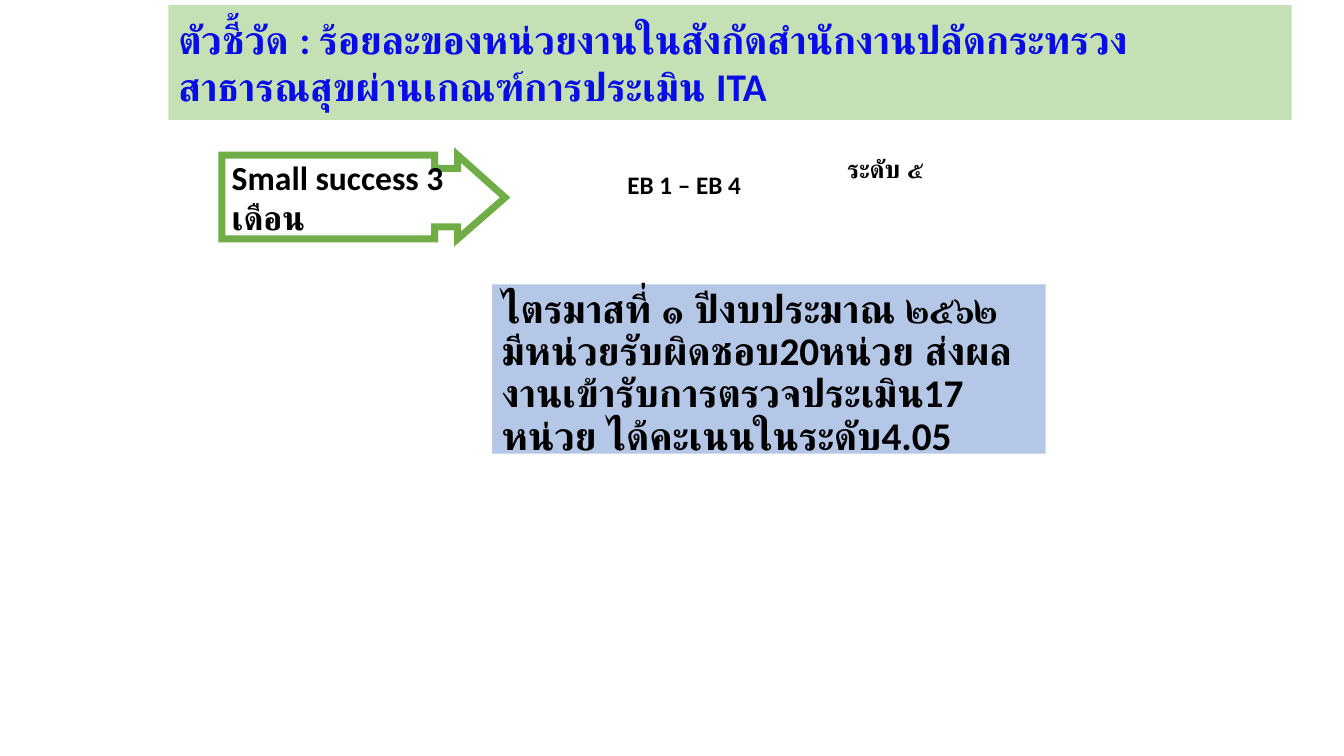
"""Build the ITA indicator slide with its three-month small success result."""
from lxml import etree
from pptx import Presentation
from pptx.dml.color import RGBColor
from pptx.enum.shapes import MSO_SHAPE
from pptx.enum.text import MSO_ANCHOR, MSO_AUTO_SIZE, PP_ALIGN
from pptx.oxml.ns import qn
from pptx.util import Inches, Pt

BLACK = RGBColor(0x00, 0x00, 0x00)
WHITE = RGBColor(0xFF, 0xFF, 0xFF)
TITLE_BLUE = RGBColor(0x07, 0x0C, 0xE9)
PALE_BLUE = RGBColor(0xB4, 0xC7, 0xE7)
PALE_GREEN = RGBColor(0xC5, 0xE0, 0xB4)
GREEN = RGBColor(0x70, 0xAD, 0x47)


def write(sp, lines, size, color=BLACK, align=PP_ALIGN.LEFT,
          anchor=MSO_ANCHOR.TOP, spacing=None):
    tf = sp.text_frame
    tf.word_wrap = True
    tf.vertical_anchor = anchor
    tf.text = "\n".join(lines)
    for p in tf.paragraphs:
        p.alignment = align
        p.line_spacing = spacing
        for r in p.runs:
            r.font.name = "Calibri"
            r.font.size = Pt(size)
            r.font.bold = True
            r.font.color.rgb = color


def add_panel(left, top, width, height, color):
    sp = s.shapes.add_shape(MSO_SHAPE.RECTANGLE, Inches(left), Inches(top),
                            Inches(width), Inches(height))
    sp.shadow.inherit = False
    sp.fill.solid()
    sp.fill.fore_color.rgb = color
    sp.line.fill.background()
    return sp


prs = Presentation()
prs.slide_width = Inches(13.33)
prs.slide_height = Inches(7.5)
s = prs.slides.add_slide(prs.slide_layouts[6])

result = add_panel(4.88, 2.82, 5.49, 1.68, PALE_BLUE)
write(result, ["ไตรมาสที่ ๑ ปีงบประมาณ ๒๕๖๒",
               "มีหน่วยรับผิดชอบ20หน่วย ส่งผลงานเข้ารับการตรวจประเมิน17 หน่วย ได้คะเนนในระดับ4.05"],
      28, spacing=0.9)

arrow_points = [(2.2, 1.54), (4.31, 1.54), (4.31, 1.67), (4.54, 1.67),
                (4.54, 1.54), (5.01, 1.96), (4.54, 2.37), (4.54, 2.25),
                (4.31, 2.25), (4.31, 2.37), (2.2, 2.37)]
outline = [(Inches(x), Inches(y)) for x, y in arrow_points]
builder = s.shapes.build_freeform(*outline[0])
builder.add_line_segments(outline[1:], close=True)
arrow = builder.convert_to_shape()
arrow.shadow.inherit = False
arrow.fill.solid()
arrow.fill.fore_color.rgb = WHITE
arrow.line.color.rgb = GREEN
arrow.line.width = Pt(5)
miter = etree.SubElement(arrow.line._get_or_add_ln(), qn("a:miter"))
miter.set("lim", "800000")
write(arrow, ["Small success 3 เดือน"], 24, anchor=MSO_ANCHOR.MIDDLE)

labels = [("EB 1 – EB 4", 5.79, 1.44, 1.99, 0.59, Pt(35)),
          ("ระดับ ๕", 7.98, 1.47, 1.6, 0.58, None)]
for text, left, top, width, height, spacing in labels:
    label = s.shapes.add_textbox(Inches(left), Inches(top),
                                 Inches(width), Inches(height))
    label.text_frame.auto_size = MSO_AUTO_SIZE.SHAPE_TO_FIT_TEXT
    write(label, [text], 18, align=PP_ALIGN.CENTER, spacing=spacing)

title = add_panel(1.67, 0.05, 11.14, 1.14, PALE_GREEN)
write(title, ["ตัวชี้วัด : ร้อยละของหน่วยงานในสังกัดสำนักงานปลัดกระทรวงสาธารณสุขผ่านเกณฑ์การประเมิน ITA"],
      28, TITLE_BLUE, anchor=MSO_ANCHOR.MIDDLE)

prs.save("out.pptx")
